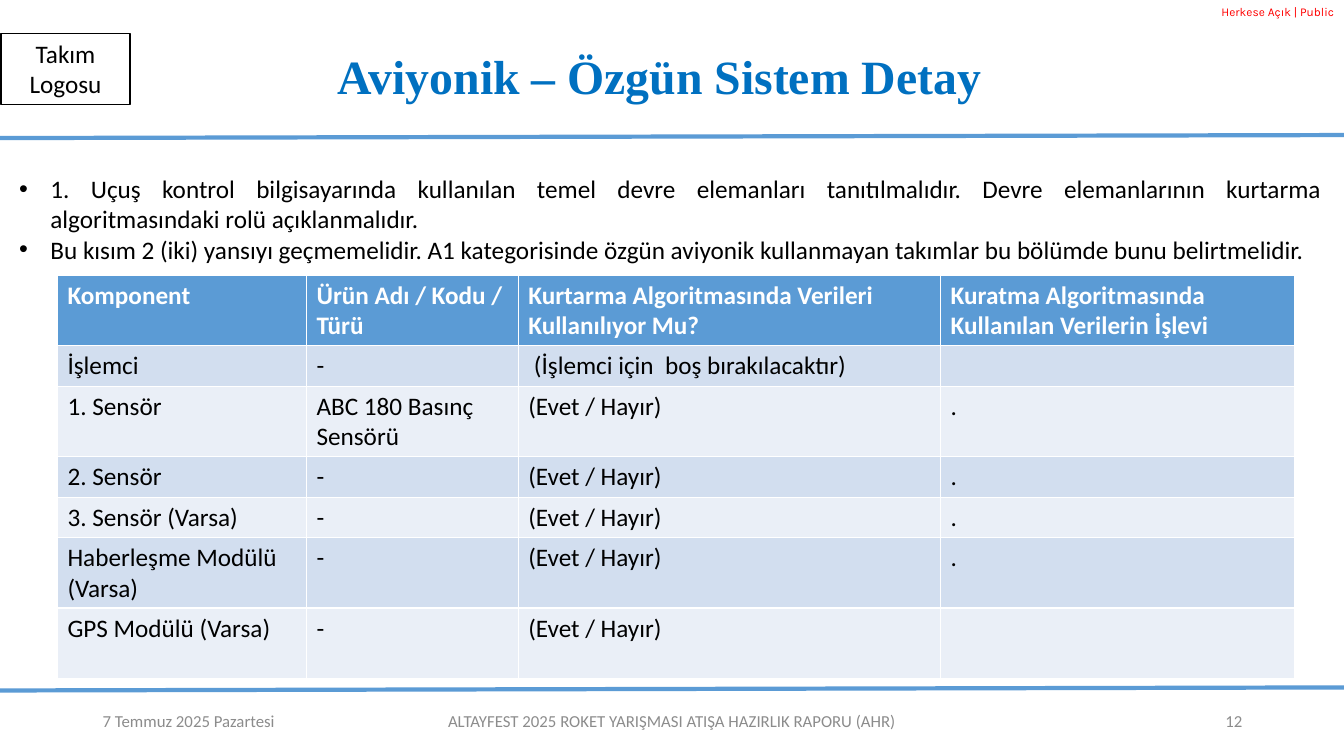
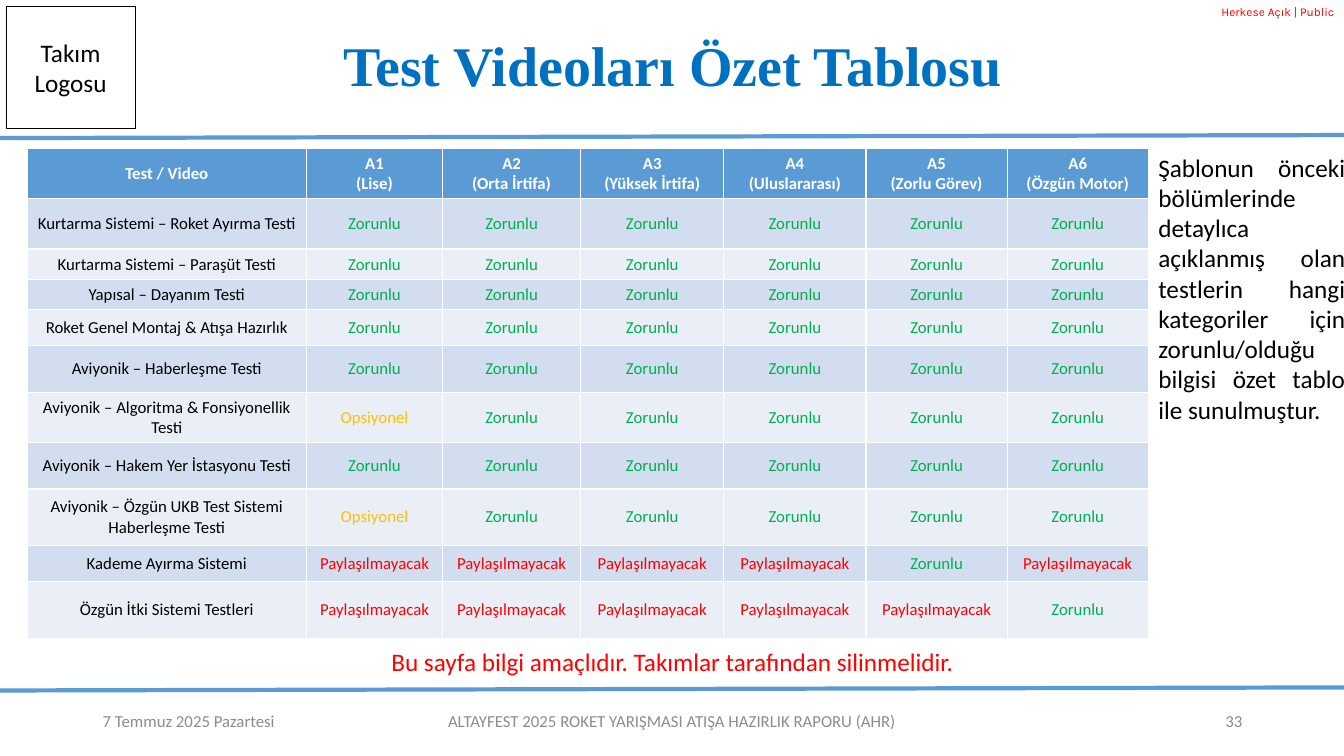
"""Build two rocket contest report slides: avionics detail and test video summary."""
from lxml import etree
from pptx import Presentation
from pptx.dml.color import RGBColor
from pptx.enum.shapes import MSO_CONNECTOR, MSO_SHAPE
from pptx.enum.text import MSO_ANCHOR, MSO_AUTO_SIZE, PP_ALIGN
from pptx.oxml.ns import qn
from pptx.util import Inches, Pt

LEFT, CENTER, RIGHT, JUSTIFY = PP_ALIGN.LEFT, PP_ALIGN.CENTER, PP_ALIGN.RIGHT, PP_ALIGN.JUSTIFY
TOP, MIDDLE, BOTTOM = MSO_ANCHOR.TOP, MSO_ANCHOR.MIDDLE, MSO_ANCHOR.BOTTOM
RECTANGLE = MSO_SHAPE.RECTANGLE
STRAIGHT = MSO_CONNECTOR.STRAIGHT

WHITE = RGBColor(0xFF, 0xFF, 0xFF)
BLACK = RGBColor(0x00, 0x00, 0x00)
GRAY = RGBColor(0x8C, 0x8C, 0x8C)
RED = RGBColor(0xFF, 0x00, 0x00)
GREEN = RGBColor(0x00, 0xB0, 0x50)
AMBER = RGBColor(0xFF, 0xC0, 0x00)
TITLE_BLUE = RGBColor(0x00, 0x70, 0xC0)
ACCENT = RGBColor(0x5B, 0x9B, 0xD5)
BANDS = [RGBColor(0xEA, 0xEF, 0xF7), RGBColor(0xD2, 0xDE, 0xEF)]

REQUIRED, OPTIONAL, NOT_SHARED = "Zorunlu", "Opsiyonel", "Paylaşılmayacak"
STATUS_COLORS = {REQUIRED: GREEN, OPTIONAL: AMBER, NOT_SHARED: RED}


def write(frame, text, size=18, color=BLACK, font="Calibri", bold=False, align=LEFT,
          anchor=TOP, wrap=True, line_spacing=None, space_after=0):
    """Fill a text frame, one paragraph per line of text, in one format."""
    frame.word_wrap = wrap
    frame.vertical_anchor = anchor
    for index, line in enumerate(text.split("\n")):
        para = frame.add_paragraph() if index else frame.paragraphs[0]
        para.text = line
        para.alignment = align
        para.line_spacing = line_spacing
        para.space_before = Pt(0)
        para.space_after = Pt(space_after)
        for span in para.runs:
            span.font.size = Pt(size)
            span.font.name = font
            span.font.bold = bold
            span.font.color.rgb = color


def draw_table(page, left, top, widths, heights, rows, size=18, align=LEFT, anchor=TOP):
    """Add a table with an accent header, banded rows and coloured statuses."""
    table = page.shapes.add_table(len(rows), len(widths), Inches(left), Inches(top),
                                  Inches(sum(widths)), Inches(sum(heights))).table
    for column, width in zip(table.columns, widths):
        column.width = Inches(width)
    for number, (row, height, texts) in enumerate(zip(table.rows, heights, rows)):
        row.height = Inches(height)
        header = number == 0
        for cell, text in zip(row.cells, texts):
            cell.fill.solid()
            cell.fill.fore_color.rgb = ACCENT if header else BANDS[number % 2]
            color = WHITE if header else STATUS_COLORS.get(text, BLACK)
            write(cell.text_frame, text, size=size, color=color, bold=header, align=align)
            cell.vertical_anchor = anchor


deck = Presentation()
deck.slide_width, deck.slide_height = Inches(13.33), Inches(7.5)
detail_page = deck.slides.add_slide(deck.slide_layouts[1])
summary_page = deck.slides.add_slide(deck.slide_layouts[5])

shared_pages = [
    (detail_page, "12", "Aviyonik – Özgün Sistem Detay", 1.54, 34.1, BOTTOM,
     (0.01, 0.33, 1.28, 0.71), TOP),
    (summary_page, "33", "Test Videoları Özet Tablosu", 1.67, 40, MIDDLE,
     (0.06, 0.06, 1.28, 1.22), MIDDLE),
]
for page, number, title_text, title_left, title_size, title_anchor, logo_place, logo_anchor in shared_pages:
    title = page.shapes.title
    title.left, title.top = Inches(title_left), Inches(0.27)
    title.width, title.height = Inches(10), Inches(0.82)
    title.text_frame.auto_size = MSO_AUTO_SIZE.NONE
    write(title.text_frame, title_text, size=title_size, color=TITLE_BLUE, bold=True,
          font="Times New Roman", align=CENTER, anchor=title_anchor, line_spacing=0.9)

    for line_top in (1.34, 6.82):
        line = page.shapes.add_connector(STRAIGHT, Inches(0), Inches(line_top + 0.03),
                                         Inches(13.33), Inches(line_top))
        line.line.color.rgb = ACCENT
        line.line.width = Pt(3)
        etree.SubElement(line.element.spPr, qn("a:effectLst"))

    logo = page.shapes.add_shape(RECTANGLE, *[Inches(value) for value in logo_place])
    logo.shadow.inherit = False
    logo.fill.background()
    logo.line.color.rgb = BLACK
    logo.line.width = Pt(0.75)
    write(logo.text_frame, "Takım Logosu", align=CENTER, anchor=logo_anchor)

    label = page.shapes.add_textbox(Inches(0), Inches(0), Inches(13.33), Inches(0.24))
    write(label.text_frame, "Herkese Açık | Public", size=8.5, color=RED, font="Karla", align=RIGHT)

    for left, width, text, align in [
        (0.92, 3, "7 Temmuz 2025 Pazartesi", LEFT),
        (2.77, 7.79, "ALTAYFEST 2025 ROKET YARIŞMASI ATIŞA HAZIRLIK RAPORU (AHR)", CENTER),
        (9.42, 3, number, RIGHT),
    ]:
        footer = page.shapes.add_textbox(Inches(left), Inches(6.95), Inches(width), Inches(0.4))
        write(footer.text_frame, text, size=12, color=GRAY, align=align, anchor=MIDDLE)

body = detail_page.placeholders[1]
body.left, body.top, body.width, body.height = Inches(0.09), Inches(1.67), Inches(13.12), Inches(1.01)
body.text_frame.auto_size = MSO_AUTO_SIZE.NONE
write(body.text_frame,
      "1. Uçuş kontrol bilgisayarında kullanılan temel devre elemanları tanıtılmalıdır. "
      "Devre elemanlarının kurtarma algoritmasındaki rolü açıklanmalıdır.\n"
      "Bu kısım 2 (iki) yansıyı geçmemelidir. A1 kategorisinde özgün aviyonik kullanmayan "
      "takımlar bu bölümde bunu belirtmelidir.", align=JUSTIFY)
for para in body.text_frame.paragraphs:
    properties = para._p.get_or_add_pPr()
    properties.set("marL", str(Inches(0.31)))
    properties.set("indent", str(-Inches(0.31)))
    etree.SubElement(properties, qn("a:buFont"), typeface="Arial")
    etree.SubElement(properties, qn("a:buChar"), char="•")

YES_NO = "(Evet / Hayır)"
component_rows = [
    ("Komponent", "Ürün Adı / Kodu / Türü", "Kurtarma Algoritmasında Verileri Kullanılıyor Mu?",
     "Kuratma Algoritmasında Kullanılan Verilerin İşlevi"),
    ("İşlemci", "-", " (İşlemci için  boş bırakılacaktır)", ""),
    ("1. Sensör", "ABC 180 Basınç Sensörü", YES_NO, "."),
    ("2. Sensör", "-", YES_NO, "."),
    ("3. Sensör (Varsa)", "-", YES_NO, "."),
    ("Haberleşme Modülü (Varsa)", "-", YES_NO, "."),
    ("GPS Modülü (Varsa)", "-", YES_NO, ""),
]
draw_table(detail_page, 0.57, 2.73, [2.47, 2.1, 4.19, 3.51],
           [0.7, 0.4, 0.7, 0.4, 0.4, 0.7, 0.7], component_rows)

categories = ["Lise", "Orta İrtifa", "Yüksek İrtifa", "Uluslararası", "Zorlu Görev", "Özgün Motor"]
all_required = [REQUIRED] * 6
optional_first = [OPTIONAL] + [REQUIRED] * 5
test_rows = [
    ["Test / Video"] + [f"A{index}\v({name})" for index, name in enumerate(categories, 1)],
    ["Kurtarma Sistemi – Roket Ayırma Testi"] + all_required,
    ["Kurtarma Sistemi – Paraşüt Testi"] + all_required,
    ["Yapısal – Dayanım Testi"] + all_required,
    ["Roket Genel Montaj & Atışa Hazırlık"] + all_required,
    ["Aviyonik – Haberleşme Testi"] + all_required,
    ["Aviyonik – Algoritma & Fonsiyonellik Testi"] + optional_first,
    ["Aviyonik – Hakem Yer İstasyonu Testi"] + all_required,
    ["Aviyonik – Özgün UKB Test Sistemi Haberleşme Testi"] + optional_first,
    ["Kademe Ayırma Sistemi"] + [NOT_SHARED] * 4 + [REQUIRED, NOT_SHARED],
    ["Özgün İtki Sistemi Testleri"] + [NOT_SHARED] * 5 + [REQUIRED],
]
draw_table(summary_page, 0.27, 1.47, [2.77, 1.35, 1.37, 1.42, 1.41, 1.4, 1.4],
           [0.5, 0.5, 0.3, 0.3, 0.36, 0.46, 0.5, 0.46, 0.56, 0.36, 0.56],
           test_rows, size=12, align=CENTER, anchor=MIDDLE)

sidebar = summary_page.shapes.add_textbox(Inches(11.39), Inches(1.46), Inches(2.05), Inches(2.83))
write(sidebar.text_frame,
      "Şablonun önceki bölümlerinde detaylıca açıklanmış olan testlerin hangi kategoriler "
      "için zorunlu/olduğu bilgisi özet tablo ile sunulmuştur.", align=JUSTIFY, space_after=6)

notice = summary_page.shapes.add_textbox(Inches(3.77), Inches(6.36), Inches(5.8), Inches(0.4))
write(notice.text_frame, "Bu sayfa bilgi amaçlıdır. Takımlar tarafından silinmelidir.",
      color=RED, align=CENTER, wrap=False)

deck.save("out.pptx")
